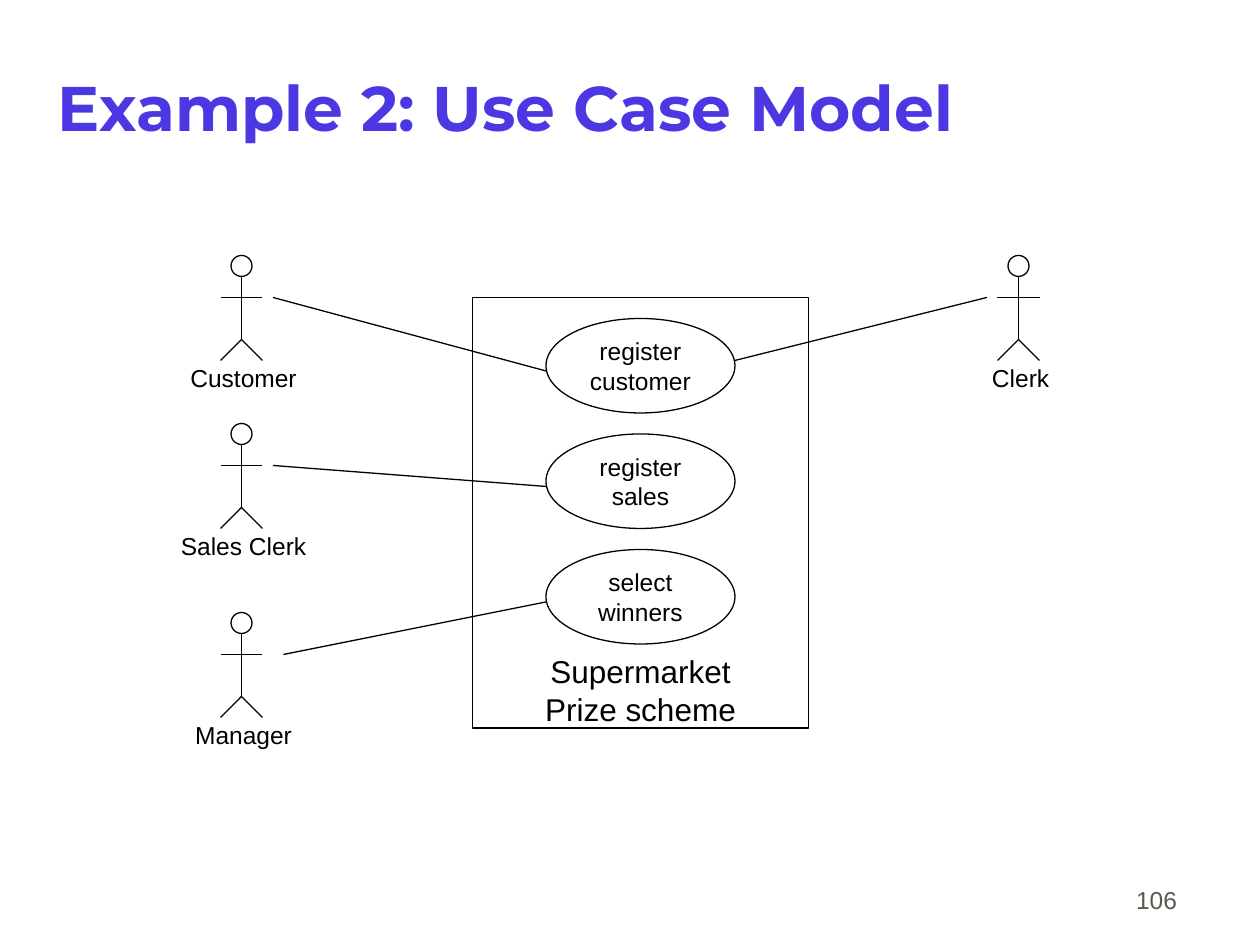
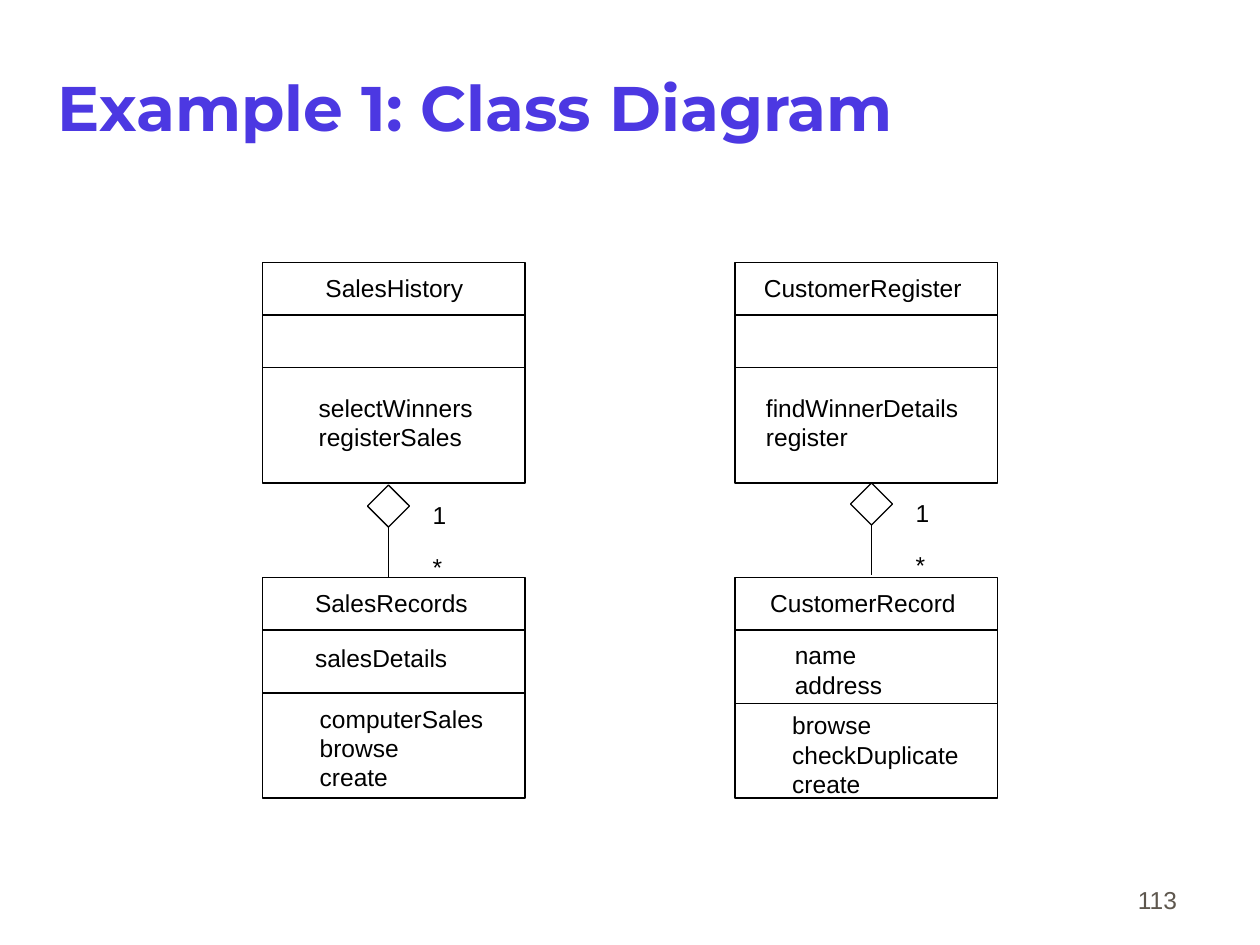
from lxml.etree import SubElement
from pptx import Presentation
from pptx.dml.color import RGBColor
from pptx.enum.shapes import MSO_CONNECTOR, MSO_SHAPE
from pptx.enum.text import MSO_ANCHOR, PP_ALIGN
from pptx.oxml.ns import qn
from pptx.util import Inches, Pt

BLACK = "000000"
VIOLET = "4C38E2"
TAUPE = "5E574E"
CELLS_PER_INCH = 12


def cells(count):
    """Length of a number of grid cells, along either axis."""
    return round(Inches(1) * count / CELLS_PER_INCH)


def color(hex_string):
    return RGBColor.from_string(hex_string)


class DiagramDeck:
    """Holds the shared style and draws on the current page."""

    body_font = "Arial"
    title_font = "Montserrat"
    body_size = 14
    line_width = 0.75

    def __init__(self):
        self.deck = Presentation()
        self.deck.slide_width = cells(120)
        self.deck.slide_height = cells(90)
        self.page = None

    def start_page(self, title, number):
        self.page = self.deck.slides.add_slide(self.deck.slide_layouts[6])
        self.text(5.5, 2.4, 102, 15.5, title, size=36, ink=VIOLET,
                  font=self.title_font, bold=True, anchor=MSO_ANCHOR.MIDDLE)
        self.text(88.3, 81.7, 23.8, 5.4, number, ink=TAUPE,
                  align=PP_ALIGN.RIGHT, anchor=MSO_ANCHOR.BOTTOM)

    def fill_text(self, shape, words, size=body_size, ink=BLACK, font=body_font,
                  bold=False, align=PP_ALIGN.LEFT, anchor=MSO_ANCHOR.TOP):
        frame = shape.text_frame
        frame.word_wrap = True
        frame.margin_left = frame.margin_right = 0
        frame.margin_top = frame.margin_bottom = 0
        frame.vertical_anchor = anchor
        frame.text = words
        for para in frame.paragraphs:
            para.alignment = align
            for span in para.runs:
                span.font.name = font
                span.font.size = Pt(size)
                span.font.bold = bold
                span.font.color.rgb = color(ink)

    def text(self, col, row, width, height, words, **style):
        box = self.page.shapes.add_textbox(
            cells(col), cells(row), cells(width), cells(height))
        self.fill_text(box, words, **style)

    def outline(self, kind, col, row, width, height, group=None):
        """Add an unfilled preset shape, to the page or to a group."""
        shape = (group or self.page).shapes.add_shape(
            kind, cells(col), cells(row), cells(width), cells(height))
        shape.shadow.inherit = False
        shape.fill.background()
        shape.line.color.rgb = color(BLACK)
        shape.line.width = Pt(self.line_width)
        return shape

    def line(self, start_col, start_row, end_col, end_row, group=None):
        connector = (group or self.page).shapes.add_connector(
            MSO_CONNECTOR.STRAIGHT, cells(start_col), cells(start_row),
            cells(end_col), cells(end_row))
        connector.line.color.rgb = color(BLACK)
        connector.line.width = Pt(self.line_width)
        SubElement(connector._element.spPr, qn("a:effectLst"))

    def actor(self, name, col, row):
        """Draw a stick figure centred on a column, head top on a row."""
        figure = self.page.shapes.add_group_shape()
        hips = row + 8
        self.outline(MSO_SHAPE.OVAL, col - 1, row, 2, 2, figure)
        self.line(col, row + 2, col, hips, figure)
        self.line(col - 2, row + 4, col + 2, row + 4, figure)
        for foot in (col - 2, col + 2):
            self.line(col, hips, foot, hips + 2, figure)
        self.text(col - 7.8, row + 10.27, 16, 2.8, name, align=PP_ALIGN.CENTER)

    def system(self, name, col, row, width, height):
        boundary = self.outline(MSO_SHAPE.RECTANGLE, col, row, width, height)
        self.fill_text(boundary, name, size=18, align=PP_ALIGN.CENTER,
                       anchor=MSO_ANCHOR.BOTTOM)

    def use_case(self, name, col, row):
        oval = self.outline(MSO_SHAPE.OVAL, col, row, 18, 9)
        self.fill_text(oval, name, align=PP_ALIGN.CENTER,
                       anchor=MSO_ANCHOR.MIDDLE)

    def class_box(self, col, row, dividers, entries):
        """Dividers and entries are placed from the top left of the box."""
        width, height = 25, 21
        self.outline(MSO_SHAPE.RECTANGLE, col, row, width, height)
        for divider in dividers:
            self.line(col, row + divider, col + width, row + divider)
        for words, indent, drop in entries:
            line_count = words.count("\n") + 1
            self.text(col + indent, row + drop, width - indent,
                      2.8 * line_count, words)

    def aggregation(self, col, row):
        """Draw a one-to-many diamond centred on a column, with its stem."""
        self.outline(MSO_SHAPE.DIAMOND, col - 2, row, 4, 4)
        self.line(col, row + 3.9, col, row + 8.8)
        for mark, drop in (("1", 1.44), ("*", 6.36)):
            self.text(col + 4.2, row + drop, 2, 2.8, mark)


def draw_use_cases(deck):
    deck.start_page("Example 2: Use Case Model", "106")
    top = 24.33
    deck.system("Supermarket\nPrize scheme", 45, top + 4, 32, 41)
    names = ("register\ncustomer", "register\nsales", "select\nwinners")
    for index, name in enumerate(names):
        deck.use_case(name, 52, top + 6 + 11 * index)
    for name, col, drop in (("Customer", 23, 0), ("Sales Clerk", 23, 16),
                            ("Manager", 23, 34), ("Clerk", 97, 0)):
        deck.actor(name, col, top + drop)
    for case_col, case_drop, actor_col, actor_drop in (
            (52, 11, 26, 4), (52, 22, 26, 20), (52, 33, 27, 38), (70, 10, 94, 4)):
        deck.line(case_col, top + case_drop, actor_col, top + actor_drop)


def draw_classes(deck):
    deck.start_page("Example 1: Class Diagram", "113")
    left, right, upper, lower = 25, 70, 25, 55
    deck.class_box(left, upper, (5, 10), (
        ("SalesHistory", 6, 1),
        ("selectWinners\nregisterSales", 5.35, 12.4)))
    deck.class_box(left, lower, (5, 11), (
        ("SalesRecords", 5, 1),
        ("salesDetails", 5, 6.2),
        ("computerSales\nbrowse\ncreate", 5.45, 12)))
    deck.class_box(right, upper, (5, 10), (
        ("CustomerRegister", 2.75, 1),
        ("findWinnerDetails\nregister", 2.95, 12.4)))
    deck.class_box(right, lower, (5, 12), (
        ("CustomerRecord", 3.35, 1),
        ("name\naddress", 5.7, 6),
        ("browse\ncheckDuplicate\ncreate", 5.45, 12.65)))
    deck.aggregation(37, 46.2)
    deck.aggregation(83, 46)


def main():
    deck = DiagramDeck()
    draw_use_cases(deck)
    draw_classes(deck)
    deck.deck.save("out.pptx")


if __name__ == "__main__":
    main()
